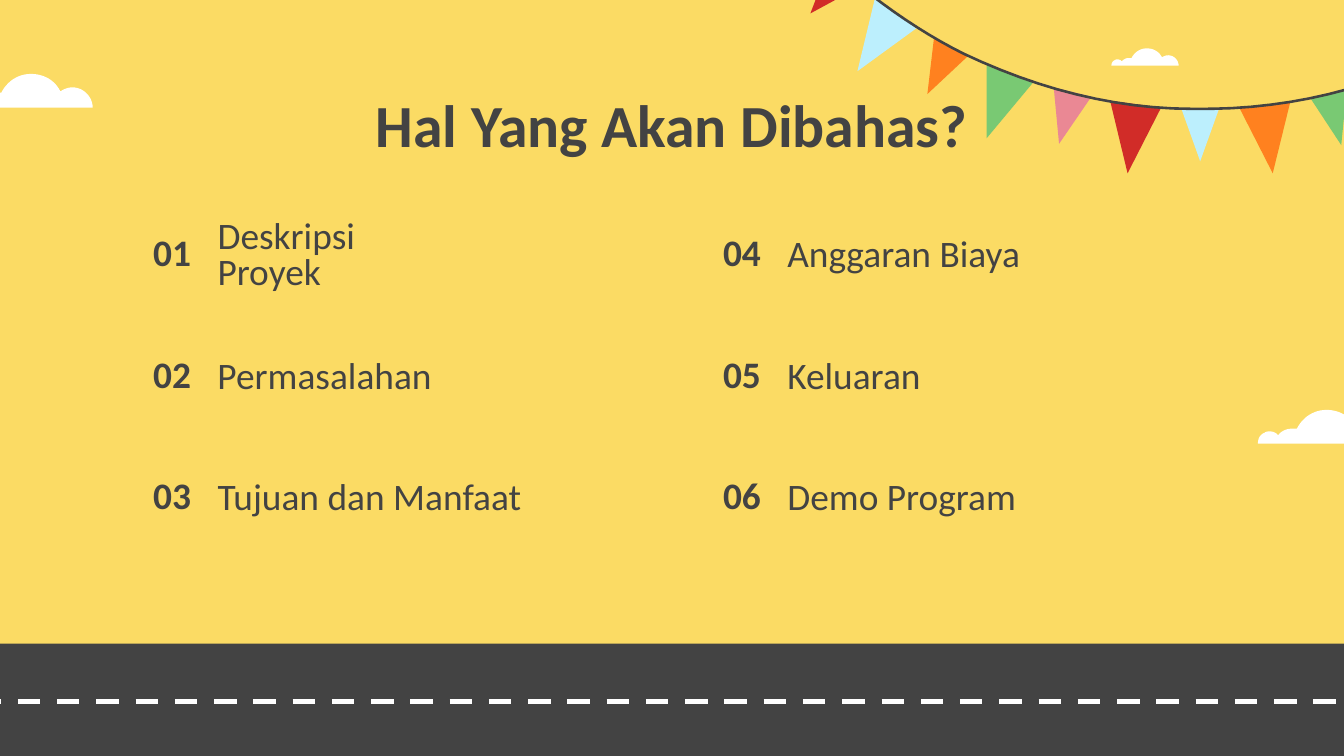
from lxml.etree import SubElement
from pptx import Presentation
from pptx.dml.color import RGBColor
from pptx.enum.dml import MSO_LINE
from pptx.enum.shapes import MSO_CONNECTOR, MSO_SHAPE
from pptx.enum.text import MSO_ANCHOR, MSO_AUTO_SIZE, PP_ALIGN
from pptx.oxml.ns import qn
from pptx.util import Inches, Pt

YELLOW = RGBColor(0xFB, 0xDB, 0x64)
DARK = RGBColor(0x43, 0x43, 0x43)
WHITE = RGBColor(0xFF, 0xFF, 0xFF)
RED = RGBColor(0xD1, 0x2C, 0x28)
BLUE = RGBColor(0xBC, 0xEF, 0xFD)
ORANGE = RGBColor(0xFF, 0x81, 0x1F)
GREEN = RGBColor(0x79, 0xC9, 0x73)
PINK = RGBColor(0xEA, 0x88, 0x94)
FONT = "Calibri"

CLOUD_W = 0.97
CLOUD_START = (0.51, 0)
CLOUD_CURVES = [
    ((0.41, 0), (0.33, 0.06), (0.29, 0.14)),
    ((0.27, 0.14), (0.26, 0.14), (0.25, 0.14)),
    ((0.21, 0.14), (0.17, 0.16), (0.15, 0.19)),
    ((0.14, 0.17), (0.11, 0.16), (0.09, 0.16)),
    ((0.08, 0.16), (0.06, 0.16), (0.05, 0.17)),
    ((0.02, 0.18), (0, 0.21), (0, 0.25)),
    ((0, 0.25), (0.97, 0.25), (0.97, 0.25)),
    ((0.97, 0.17), (0.9, 0.1), (0.82, 0.1)),
    ((0.79, 0.1), (0.76, 0.11), (0.73, 0.13)),
    ((0.69, 0.05), (0.61, 0), (0.51, 0)),
]

PENNANTS = [
    (RED, [(0.11, 0.05), (-0.04, 0.44), (0.33, 0.24)]),
    (BLUE, [(0.44, 0.33), (0.31, 0.87), (0.75, 0.55)]),
    (ORANGE, [(0.88, 0.62), (0.83, 1.04), (1.14, 0.75)]),
    (GREEN, [(1.27, 0.82), (1.27, 1.37), (1.62, 0.95)]),
    (PINK, [(1.77, 0.99), (1.81, 1.41), (2.05, 1.06)]),
    (RED, [(2.19, 1.09), (2.32, 1.63), (2.57, 1.14)]),
    (BLUE, [(2.72, 1.15), (2.86, 1.54), (3, 1.15)]),
    (ORANGE, [(3.15, 1.14), (3.4, 1.63), (3.53, 1.1)]),
    (GREEN, [(3.68, 1.07), (3.91, 1.42), (3.95, 1.01)]),
]
CORD_START = (0.07, 0.01)
CORD_CURVES = [
    ((0.4, 0.32), (0.76, 0.57), (1.1, 0.74)),
    ((1.65, 1), (2.22, 1.15), (2.8, 1.15)),
    ((3.4, 1.16), (3.95, 1.05), (4.53, 0.8)),
]

ITEMS = [
    ("Deskripsi Proyek", 2.02), ("Permasalahan", 1.93),
    ("Tujuan dan Manfaat", 2.55), ("Anggaran Biaya", 2.03),
    ("Keluaran", 1.93), ("Demo Program", 1.93),
]


def flatten(start, curves, steps=12):
    """Return points along a chain of cubic Bezier curves."""
    pts = [start]
    for c1, c2, end in curves:
        axes = list(zip(pts[-1], c1, c2, end))
        for i in range(1, steps + 1):
            t = i / steps
            u = 1 - t
            pts.append(tuple(
                u**3 * a + 3 * u * u * t * b + 3 * u * t * t * c + t**3 * d
                for a, b, c, d in axes))
    return pts


def add_outline(s, left, top, pts, fill=None, scale=1):
    """Draw a filled outline, or an open stroke when no fill is given."""
    pts = [(Inches(left + x * scale), Inches(top + y * scale)) for x, y in pts]
    fb = s.shapes.build_freeform(*pts[0])
    fb.add_line_segments(pts[1:], close=fill is not None)
    sp = fb.convert_to_shape()
    sp.shadow.inherit = False
    if fill is None:
        sp.fill.background()
        sp.line.color.rgb = DARK
        sp.line.width = Pt(1.4)
    else:
        sp.fill.solid()
        sp.fill.fore_color.rgb = fill
        sp.line.fill.background()


def format_text(sp, text, size, bold=False, align=PP_ALIGN.LEFT,
                anchor=MSO_ANCHOR.TOP, spacing=1.0):
    """Fill a text shape with one formatted paragraph."""
    tf = sp.text_frame
    tf.text = text
    tf.word_wrap = True
    tf.auto_size = MSO_AUTO_SIZE.NONE
    tf.vertical_anchor = anchor
    tf.margin_left = tf.margin_right = Inches(0.1)
    tf.margin_top = tf.margin_bottom = Inches(0.1)
    p = tf.paragraphs[0]
    p.alignment = align
    p.line_spacing = spacing
    font = p.runs[0].font
    font.name, font.size, font.bold = FONT, Pt(size), bold
    font.color.rgb = DARK


def add_road(s, left, top, width, height):
    """Draw the road with its dashed centre line."""
    sp = s.shapes.add_shape(MSO_SHAPE.RECTANGLE, Inches(left), Inches(top),
                            Inches(width), Inches(height))
    sp.shadow.inherit = False
    sp.fill.solid()
    sp.fill.fore_color.rgb = DARK
    sp.line.fill.background()
    y = Inches(top + 0.43)
    line = s.shapes.add_connector(MSO_CONNECTOR.STRAIGHT, Inches(left - 0.02), y,
                                  Inches(left + width + 0.02), y)
    line.line.color.rgb = WHITE
    line.line.width = Pt(3)
    line.line.dash_style = MSO_LINE.DASH
    SubElement(line._element.spPr, qn("a:effectLst"))


def add_cloud(s, left, top, width):
    """Draw a cloud scaled to the given width."""
    add_outline(s, left, top, flatten(CLOUD_START, CLOUD_CURVES), WHITE,
                width / CLOUD_W)


def add_title(s, left, top, width, height, text):
    """Place and fill the title placeholder."""
    sp = s.shapes.title
    sp.left, sp.top = Inches(left), Inches(top)
    sp.width, sp.height = Inches(width), Inches(height)
    format_text(sp, text, 32, True, PP_ALIGN.CENTER)


def add_agenda(s, left, top, width, height, items, rows=3):
    """Lay out numbered items column by column in the box."""
    item_h, number_w = 0.76, 0.89
    col_step = width / 2
    row_step = (height - item_h) / (rows - 1)
    for i, (text, text_w) in enumerate(items):
        col, row = divmod(i, rows)
        x, y = left + col * col_step, top + row * row_step
        number = s.shapes.add_textbox(Inches(x), Inches(y + 0.09),
                                      Inches(number_w), Inches(0.52))
        format_text(number, f"{i + 1:02d}", 20, True, PP_ALIGN.RIGHT,
                    MSO_ANCHOR.BOTTOM)
        label = s.shapes.add_textbox(Inches(x + number_w), Inches(y),
                                     Inches(text_w), Inches(item_h))
        format_text(label, text, 20, anchor=MSO_ANCHOR.MIDDLE, spacing=0.8)


def add_bunting(s, left, top):
    """Hang the pennants on their cord."""
    for color, corners in PENNANTS:
        add_outline(s, left, top, corners, color)
    add_outline(s, left, top, flatten(CORD_START, CORD_CURVES))


def main():
    """Build and save the agenda slide."""
    prs = Presentation()
    prs.slide_width, prs.slide_height = Inches(10), Inches(10 * 9 / 16)
    s = prs.slides.add_slide(prs.slide_layouts[5])
    s.background.fill.solid()
    s.background.fill.fore_color.rgb = YELLOW
    add_road(s, -0.14, 4.79, 10.22, 0.84)
    for left, top, width in [(-0.28, 0.55, 0.97), (9.36, 3.05, 0.97),
                             (8.27, 0.36, 0.5)]:
        add_cloud(s, left, top, width)
    add_title(s, 2.35, 0.55, 5.3, 0.63, "Hal Yang Akan Dibahas?")
    add_agenda(s, 0.63, 1.53, 8.48, 2.57, ITEMS)
    add_bunting(s, 6.07, -0.34)
    prs.save("out.pptx")


main()
